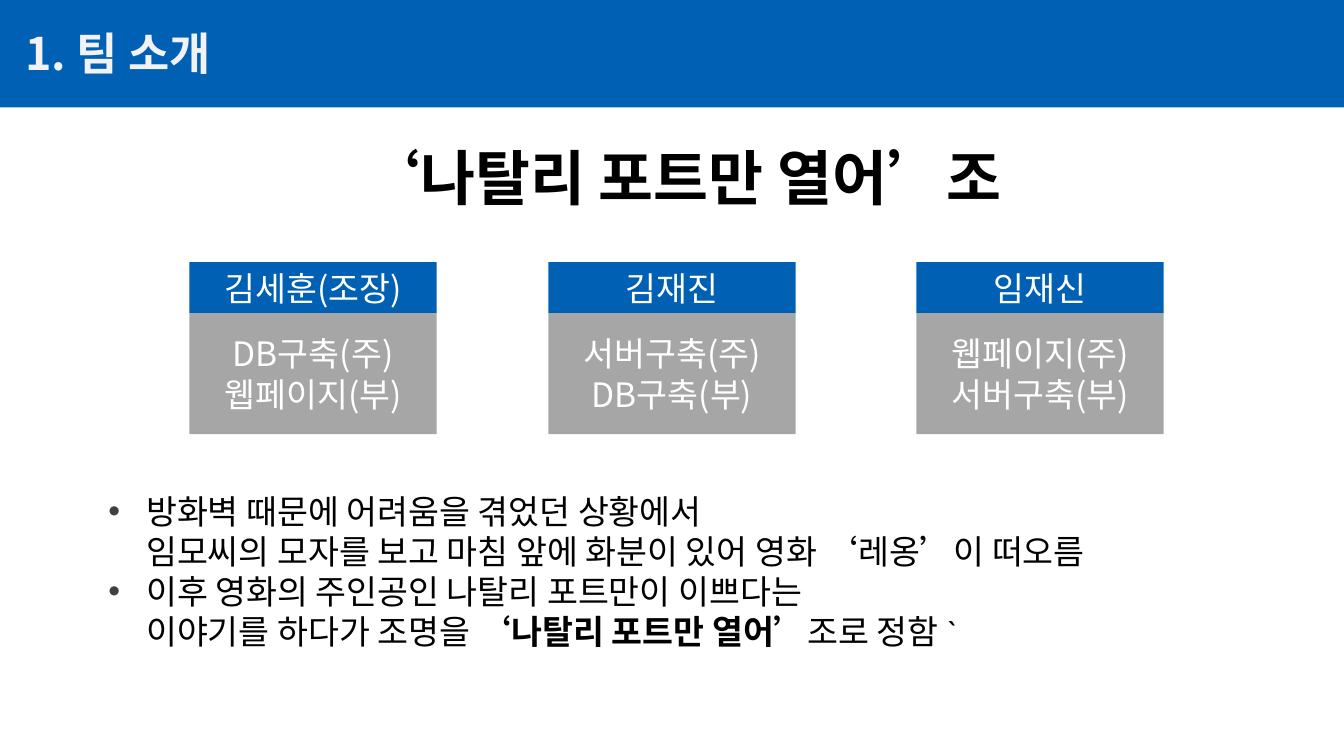
from lxml import etree
from pptx import Presentation
from pptx.dml.color import RGBColor
from pptx.enum import shapes, text
from pptx.oxml import ns
from pptx.util import Pt

BLUE = RGBColor(0x00, 0x60, 0xB4)
GRAY = RGBColor(0xA6, 0xA6, 0xA6)
WHITE = RGBColor(0xFF, 0xFF, 0xFF)
OFF_WHITE = RGBColor(0xF2, 0xF2, 0xF2)
BLACK = RGBColor(0x00, 0x00, 0x00)
BULLET = RGBColor(0x40, 0x40, 0x40)
KOREAN, LATIN = "Noto Sans CJK KR", "Calibri"

MEMBERS = [
    (101.5, "김세훈(조장)", ["DB구축(주)", "웹페이지(부)"]),
    (293.8, "김재진", ["서버구축(주)", "DB구축(부)"]),
    (491, "임재신", ["웹페이지(주)", "서버구축(부)"]),
]
STORY = [
    [[("방화벽 때문에 어려움을 겪었던 상황에서", False)],
     [("임모씨의 모자를 보고 마침 앞에 화분이 있어 영화 ‘레옹’이 떠오름", False)]],
    [[("이후 영화의 주인공인 나탈리 포트만이 이쁘다는 ", False)],
     [("이야기를 하다가 조명을 ", False), ("‘나탈리 포트만 열어’", True),
      ("조로 정함 `", False)]],
]


def add_run(p, words, size, color, bold=False, font=KOREAN):
    """Add a run with both Latin and East Asian fonts set."""
    r = p.add_run()
    r.text = words
    r.font.size, r.font.bold, r.font.name = Pt(size), bold, font
    r.font.color.rgb = color
    etree.SubElement(r.font._element, ns.qn("a:ea"), typeface=KOREAN)


def add_paragraph(tf, index, size, align=text.PP_ALIGN.LEFT):
    """Return the paragraph at the next index, with line pitch 1.2 times the size."""
    p = tf.add_paragraph() if index else tf.paragraphs[0]
    p.alignment, p.line_spacing = align, Pt(size * 1.2)
    p.space_before = p.space_after = Pt(0)
    return p


def add_bullet(p, indent):
    """Give a paragraph a round bullet and a hanging indent."""
    pPr = p._p.get_or_add_pPr()
    pPr.set("marL", str(Pt(indent)))
    pPr.set("indent", str(-Pt(indent)))
    color = etree.SubElement(pPr, ns.qn("a:buClr"))
    etree.SubElement(color, ns.qn("a:srgbClr"), val=str(BULLET))
    etree.SubElement(pPr, ns.qn("a:buFont"), typeface="Arial")
    etree.SubElement(pPr, ns.qn("a:buChar"), char="•")


def add_panel(parent, x, y, w, h, fill, lines=()):
    """Add a plain filled rectangle with centred white lines."""
    sp = parent.add_shape(shapes.MSO_SHAPE.RECTANGLE, Pt(x), Pt(y), Pt(w), Pt(h))
    sp.shadow.inherit = False
    sp.fill.solid()
    sp.fill.fore_color.rgb = fill
    sp.line.fill.background()
    sp.text_frame.vertical_anchor = text.MSO_ANCHOR.MIDDLE
    for i, line in enumerate(lines):
        p = add_paragraph(sp.text_frame, i, 18, text.PP_ALIGN.CENTER)
        add_run(p, line, 18, WHITE)
    return sp


def add_text_box(s, x, y, w, h):
    """Add a wrapping text box and return its text frame."""
    tf = s.shapes.add_textbox(Pt(x), Pt(y), Pt(w), Pt(h)).text_frame
    tf.word_wrap = True
    return tf


def add_title_bar(s, x, y, w, h):
    """Place the title placeholder on a blue bar."""
    title = s.shapes.title
    title.element.addprevious(add_panel(s.shapes, x, y, w, h, BLUE).element)
    title.left, title.top = Pt(x + 6.5), Pt(y + 10)
    title.width, title.height = Pt(175), Pt(36)
    tf = title.text_frame
    tf.word_wrap, tf.auto_size = True, text.MSO_AUTO_SIZE.NONE
    tf.vertical_anchor = text.MSO_ANCHOR.TOP
    add_run(add_paragraph(tf, 0, 24), "1. 팀 소개", 24, OFF_WHITE, True)


def add_team_name(s, x, y, w, h):
    """Add the large centred team name."""
    tf = add_text_box(s, x, y, w, h)
    p = add_paragraph(tf, 0, 32, text.PP_ALIGN.CENTER)
    add_run(p, "‘나탈리 포트만 열어’조 ", 32, BLACK, True)


def add_member_card(s, x, y, w, h, name, roles):
    """Group a member's name band with the roles below it."""
    band = 27.4
    group = s.shapes.add_group_shape().shapes
    add_panel(group, x, y, w, band, BLUE, [name])
    add_panel(group, x, y + band, w, h - band, GRAY, roles)


def add_story(s, x, y, w, h):
    """Add the bulleted story of the team name."""
    tf = add_text_box(s, x, y, w, h)
    for i, lines in enumerate(STORY):
        p = add_paragraph(tf, i, 18)
        add_bullet(p, 20.2)
        for j, runs in enumerate(lines):
            if j:
                p.add_line_break()
            for words, bold in runs:
                add_run(p, words, 18, BLACK, bold, LATIN)


def main():
    """Build and save the team slide."""
    prs = Presentation()
    prs.slide_width, prs.slide_height = Pt(720), Pt(405)
    s = prs.slides.add_slide(prs.slide_layouts[5])
    add_title_bar(s, 0, 0, 720.5, 57.6)
    add_team_name(s, 135.4, 72, 466.6, 46)
    for x, name, roles in MEMBERS:
        add_member_card(s, x, 140.4, 132.5, 92.2, name, roles)
    add_story(s, 51, 259.2, 609, 94.3)
    prs.save("out.pptx")


if __name__ == "__main__":
    main()
